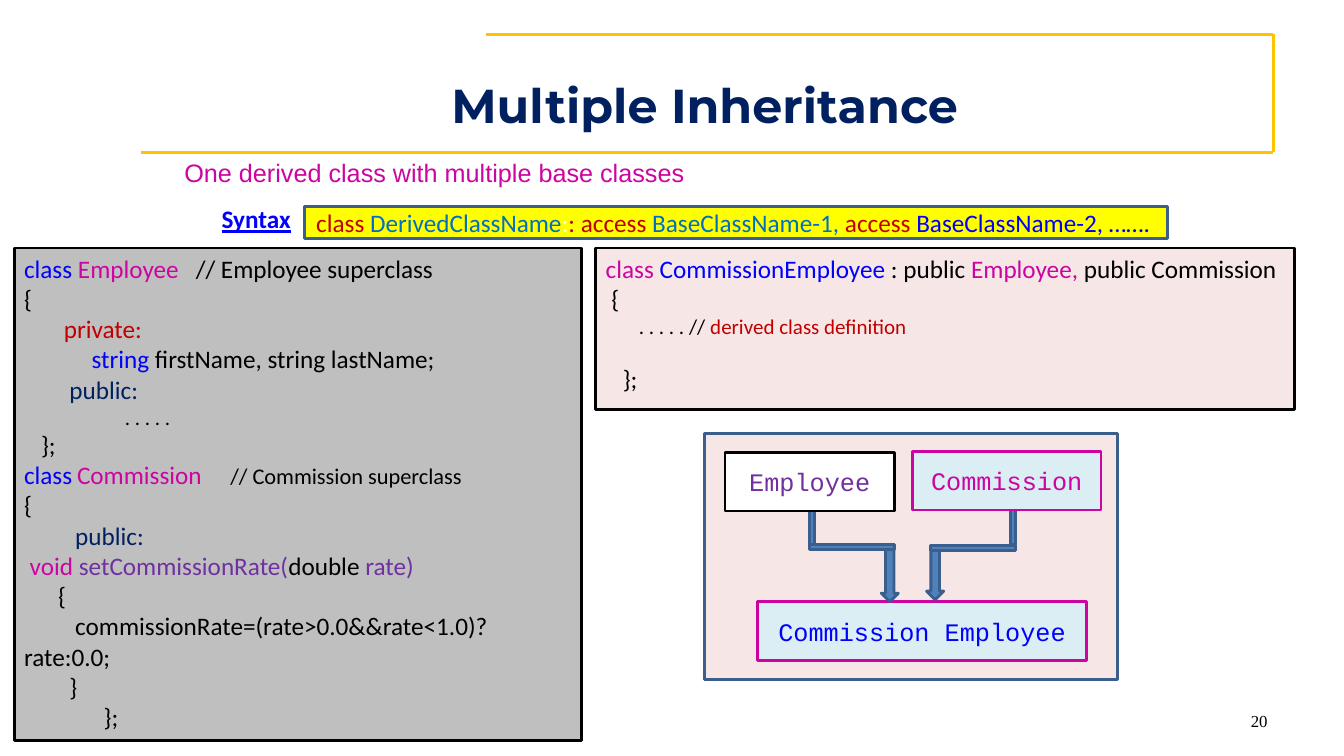
"""Build the slide on multiple inheritance."""
from lxml import etree
from pptx import Presentation
from pptx.dml.color import RGBColor
from pptx.enum import shapes, text
from pptx.oxml.ns import qn
from pptx.util import Inches, Pt

HEX = {"navy": "002060", "pink": "CC04A1", "blue": "0000FF", "red": "C00000",
       "sky": "0070C0", "plum": "7030A0", "black": "000000", "white": "FFFFFF",
       "gold": "FFC100", "gray": "BFBFBF", "rose": "F6E7E6", "ice": "DBEEF4",
       "yellow": "FFFF00", "steel": "4F81BD", "edge": "3A5F8C"}

TITLE = [[("Multiple Inheritance", "navy")]]
LEAD = [[("One derived class with multiple base classes", "pink")]]
LABEL = [[("Syntax", "blue")]]
PAGE = [[("20", "black")]]
SYNTAX = [[("class ", "red"), ("DerivedClassName", "sky"), (":", "white"),
           (": access ", "red"), ("BaseClassName-1, ", "sky"),
           ("access ", "red"), ("BaseClassName-2, ……. ", "blue")]]
BASES = [
    [("class ", "blue"), ("Employee", "pink"),
     ("   // Employee superclass", "black")],
    [("{", "black")],
    [("       private:", "red")],
    [("    \t   ", "black"), ("string ", "blue"),
     ("firstName, string lastName;", "black")],
    [("        public:", "navy")],
    [("              \t. . . . .", "black", 15)],
    [("   };", "black")],
    [("class", "blue"), (" ", "black", 15), ("Commission     ", "pink"),
     ("// Commission superclass", "black", 16)],
    [("{", "black")],
    [("         public:", "navy")],
    [(" void ", "pink"), ("setCommissionRate(", "plum"),
     ("double", "black"), (" rate)", "plum")],
    [("      {", "black")],
    [("         commissionRate=(rate>0.0&&rate<1.0)?rate:0.0;", "black")],
    [("        }", "black")],
    [("              };", "black")],
]
DERIVED = [
    [("class ", "pink"), ("CommissionEmployee", "blue"),
     (" : public ", "black"), ("Employee, ", "pink"),
     ("public Commission", "black")],
    [(" {", "black")],
    [("       . . . . . // ", "black", 15),
     ("derived class definition", "red", 15)],
]
CLOSE = [[("   };", "black")]]

FRAME = [(4.82, 0.34), (12.63, 0.34), (12.63, 1.51), (1.4, 1.51)]
CLASSES = [("Employee", "plum", "white", "black", (7.19, 4.49, 1.68, 0.58)),
           ("Commission", "pink", "ice", "pink", (9.05, 4.48, 1.87, 0.58)),
           ("Commission Employee", "blue", "ice", "pink",
            (7.51, 5.97, 3.27, 0.58))]
PATHS = [(8.03, 8.03, 5.4, 8.74, 5.44), (10.02, 9.23, 5.41, 9.19, 5.42)]
THIN, REACH, DROP = 0.05, 0.84, 0.34

ALIGN = text.PP_ALIGN
KIND = shapes.MSO_SHAPE


def color(name):
    return RGBColor.from_string(HEX[name])


def write(shape, lines, size=18, face="Calibri", align=ALIGN.LEFT, mid=False,
          bold=False, under=False, pitch=1.0, gap=0, more=False):
    frame = shape.text_frame
    frame.word_wrap = True
    frame.vertical_anchor = (text.MSO_ANCHOR.MIDDLE if mid
                             else text.MSO_ANCHOR.TOP)
    for i, line in enumerate(lines):
        para = frame.add_paragraph() if i or more else frame.paragraphs[0]
        para.alignment = align
        para.line_spacing = pitch
        para.space_before = Pt(gap)
        for words, tint, *own in line:
            run = para.add_run()
            run.text = words
            font = run.font
            font.size = Pt(own[0] if own else size)
            font.name = face
            font.bold = bold
            font.underline = under
            font.color.rgb = color(tint)


def block(slide, place, fill, edge, kind=KIND.RECTANGLE):
    shape = slide.shapes.add_shape(kind, *map(Inches, place))
    shape.shadow.inherit = False
    shape.fill.solid()
    shape.fill.fore_color.rgb = color(fill)
    shape.line.color.rgb = color(edge)
    shape.line.width = Pt(2)
    return shape


def label(slide, place, lines, **form):
    write(slide.shapes.add_textbox(*map(Inches, place)), lines, **form)


def rule(slide, start, end):
    line = slide.shapes.add_connector(
        shapes.MSO_CONNECTOR.STRAIGHT, *map(Inches, start + end))
    line.line.color.rgb = color("gold")
    line.line.width = Pt(2)
    etree.SubElement(line._element.spPr, qn("a:effectLst"))


def diagram(slide):
    block(slide, (6.99, 4.3, 4.09, 2.44), "rose", "edge")
    for stem, *_ in PATHS:
        block(slide, (stem, 5.06, THIN, DROP), "steel", "edge")
    for name, tint, fill, edge, place in CLASSES:
        write(block(slide, place, fill, edge), [[(name, tint)]],
              face="Courier New", align=ALIGN.CENTER, mid=True)
    for _, bar, level, arrow, top in PATHS:
        block(slide, (arrow, top, 0.17, 0.53), "steel", "edge",
              KIND.DOWN_ARROW)
        block(slide, (bar, level, REACH, THIN), "steel", "edge")


def main():
    deck = Presentation()
    deck.slide_width, deck.slide_height = Inches(13.33), Inches(7.5)
    slide = deck.slides.add_slide(deck.slide_layouts[5])
    for start, end in zip(FRAME, FRAME[1:]):
        rule(slide, start, end)

    title = slide.shapes.title
    title.left, title.top = Inches(1.78), Inches(0.69)
    title.width, title.height = Inches(10.42), Inches(0.69)
    write(title, TITLE, size=34, face="Montserrat", align=ALIGN.CENTER,
          mid=True, bold=True)

    label(slide, (1.73, 1.45, 5.78, 0.46), LEAD, face="Arial", pitch=1.2)
    label(slide, (2.1, 1.97, 1.42, 0.45), LABEL, bold=True, under=True)
    write(block(slide, (3.02, 2.05, 8.56, 0.32), "yellow", "edge"), SYNTAX,
          align=ALIGN.CENTER, mid=True)
    write(block(slide, (0.14, 2.46, 5.63, 4.89), "gray", "black"), BASES)
    child = block(slide, (5.91, 2.46, 6.93, 1.6), "rose", "black")
    child.text_frame.margin_right = 0
    write(child, DERIVED)
    write(child, CLOSE, gap=18, more=True)
    diagram(slide)
    label(slide, (9.56, 6.95, 3.11, 0.4), PAGE, size=12,
          face="Times New Roman", align=ALIGN.RIGHT, mid=True)
    deck.save("out.pptx")


if __name__ == "__main__":
    main()
